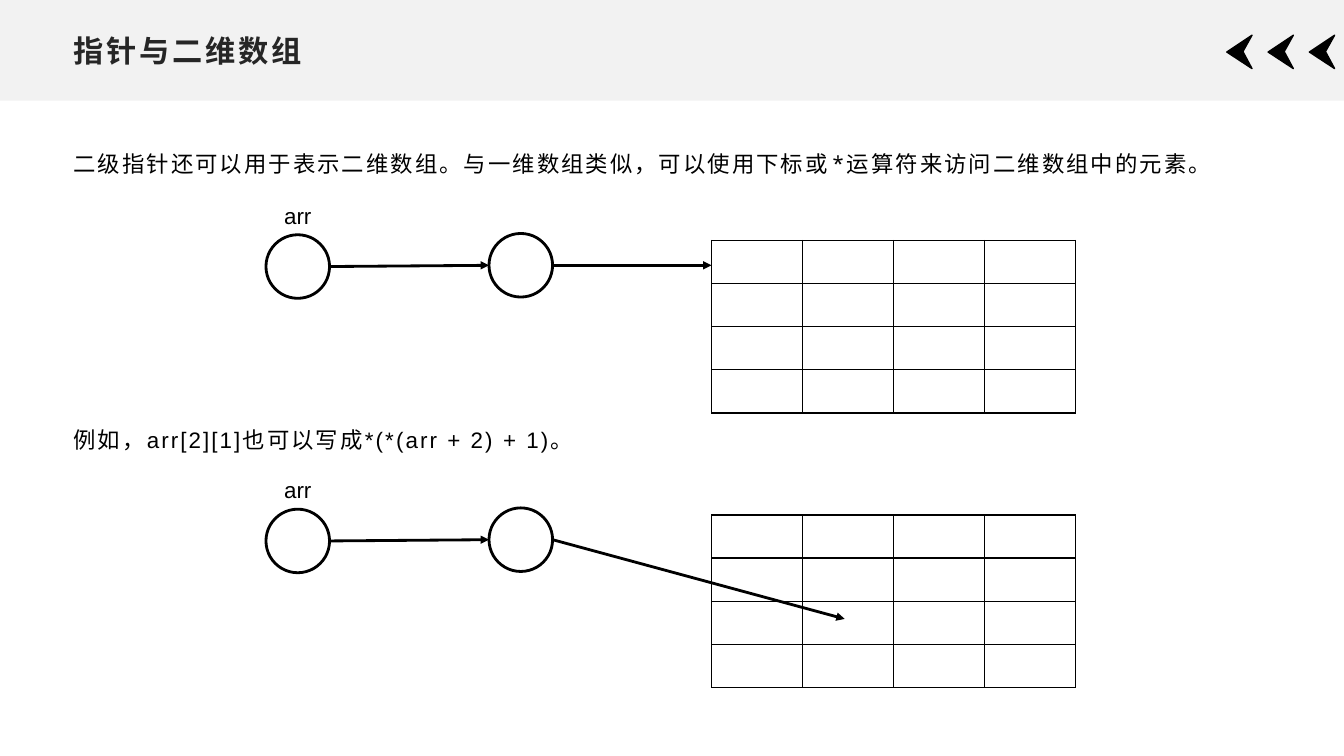
from lxml import etree
from pptx import Presentation
from pptx.dml.color import RGBColor
from pptx.enum import shapes, text
from pptx.oxml import ns, xmlchemy
from pptx.util import Pt

COLORS = {"band": "F2F2F2", "title": "262626", "ink": "000000", "paper": "FFFFFF"}
CIRCLE = 45.4
GRID_SIZE = 4
CELL_WIDTH, CELL_HEIGHT = 65, 30.8


def color(name):
    return RGBColor.from_string(COLORS[name])


def paint(shape, fill, line_width=None):
    shape.shadow.inherit = False
    shape.fill.solid()
    shape.fill.fore_color.rgb = color(fill)
    if line_width:
        shape.line.color.rgb = color("ink")
        shape.line.width = Pt(line_width)
    else:
        shape.line.fill.background()


def write(shape, words, size, font="Arial", ink="ink", bold=False, spacing=0):
    """Put one formatted paragraph in a shape; spacing is in points."""
    paragraph = shape.text_frame.paragraphs[0]
    run = paragraph.add_run()
    run.text = words
    paragraph.font.size = Pt(size)
    paragraph.font.name = font
    paragraph.font.bold = bold
    paragraph.font.color.rgb = color(ink)
    if spacing:
        run._r.get_or_add_rPr().set("spc", str(int(spacing * 100)))
    return paragraph


def add_header(slide, width):
    # Grey band behind the title
    band = slide.shapes.add_shape(
        shapes.MSO_SHAPE.RECTANGLE, 0, 0, width, Pt(72))
    paint(band, "band")
    slide.shapes._spTree.insert(2, band._element)

    # Title
    title = slide.shapes.title
    title.left, title.top, title.width, title.height = (
        Pt(45.4), Pt(18.7), Pt(869), Pt(34.6))
    title.text_frame.vertical_anchor = text.MSO_ANCHOR.MIDDLE
    paragraph = write(title, "指针与二维数组", 21.6, ink="title", bold=True, spacing=2)
    paragraph.alignment = text.PP_ALIGN.LEFT

    # Three arrowheads pointing left
    for index in range(3):
        left = 876.3 + 29.5 * index
        builder = slide.shapes.build_freeform(
            Pt(left + 18), Pt(49), scale=1.0)
        builder.add_line_segments([
            (Pt(left), Pt(37.2)),
            (Pt(left + 18), Pt(25.2)),
            (Pt(left + 11.5), Pt(36.9)),
        ], close=True)
        paint(builder.convert_to_shape(), "ink", 1)


def add_body_text(slide, top, width, words, font="Arial"):
    box = slide.shapes.add_textbox(Pt(45.4), Pt(top), Pt(width), Pt(34.6))
    box.text_frame.word_wrap = True
    paragraph = write(box, words, 16, font, spacing=1.5)
    paragraph.line_spacing = 1.3
    paragraph.space_after = Pt(10)


def add_label(slide, left, top, words):
    box = slide.shapes.add_textbox(Pt(left), Pt(top), Pt(38.2), Pt(26.6))
    box.text_frame.word_wrap = False
    write(box, words, 16).alignment = text.PP_ALIGN.CENTER


def add_circle(slide, left, top):
    circle = slide.shapes.add_shape(
        shapes.MSO_SHAPE.OVAL, Pt(left), Pt(top), Pt(CIRCLE), Pt(CIRCLE))
    paint(circle, "paper", 2)


def add_arrow(slide, start, end):
    arrow = slide.shapes.add_connector(
        shapes.MSO_CONNECTOR.STRAIGHT, *(Pt(value) for value in (*start, *end)))
    arrow.line.color.rgb = color("ink")
    arrow.line.width = Pt(2)
    line = arrow.line._get_or_add_ln()
    etree.SubElement(line, ns.qn("a:tailEnd"), type="triangle")
    etree.SubElement(arrow._element.spPr, ns.qn("a:effectLst"))


def add_borders(cell):
    properties = cell._tc.get_or_add_tcPr()
    for index, side in enumerate(("lnL", "lnR", "lnT", "lnB")):
        border = etree.Element(ns.qn(f"a:{side}"), w=str(Pt(1)))
        fill = etree.SubElement(border, ns.qn("a:solidFill"))
        etree.SubElement(fill, ns.qn("a:srgbClr"), val=COLORS["ink"])
        properties.insert(index, border)


def add_grid(slide, left, top):
    table = slide.shapes.add_table(
        GRID_SIZE, GRID_SIZE, Pt(left), Pt(top),
        Pt(GRID_SIZE * CELL_WIDTH), Pt(GRID_SIZE * CELL_HEIGHT)).table
    table.first_row = table.horz_banding = False
    for column in table.columns:
        column.width = Pt(CELL_WIDTH)
    for row in table.rows:
        row.height = Pt(CELL_HEIGHT)
    for cell in table.iter_cells():
        cell.fill.background()
        cell.text_frame.paragraphs[0].font.size = Pt(16)
        add_borders(cell)


def add_pointer_diagram(slide, top, target):
    """Draw arr -> row pointer -> grid; target is relative to top."""
    first, second, grid = 190, 349.3, 508.3
    middle = top + CIRCLE / 2
    add_grid(slide, grid, top + 5)
    add_label(slide, first + CIRCLE / 2 - 19.1, top - 26, "arr")
    add_circle(slide, first, top + 0.9)
    add_circle(slide, second, top)
    add_arrow(slide, (first + CIRCLE, middle + 0.9), (second, middle))
    add_arrow(slide, (second + CIRCLE, middle), (target[0], top + target[1]))


def main():
    presentation = Presentation()
    presentation.slide_width, presentation.slide_height = Pt(960), Pt(540)
    slide = presentation.slides.add_slide(presentation.slide_layouts[5])
    add_header(slide, presentation.slide_width)

    # Pointer to the start of the array
    add_body_text(
        slide, 97.9, 821.5,
        "二级指针还可以用于表示二维数组。与一维数组类似，可以使用下标或*运算符来访问二维数组中的元素。",
        "Noto Sans Mono")
    add_pointer_diagram(slide, 166.8, (508.3, CIRCLE / 2))

    # Pointer to one element
    add_body_text(slide, 295.2, 378, "例如，arr[2][1]也可以写成*(*(arr + 2) + 1)。")
    add_pointer_diagram(slide, 362.8, (603.4, 79.3))

    presentation.save("out.pptx")


if __name__ == "__main__":
    main()
